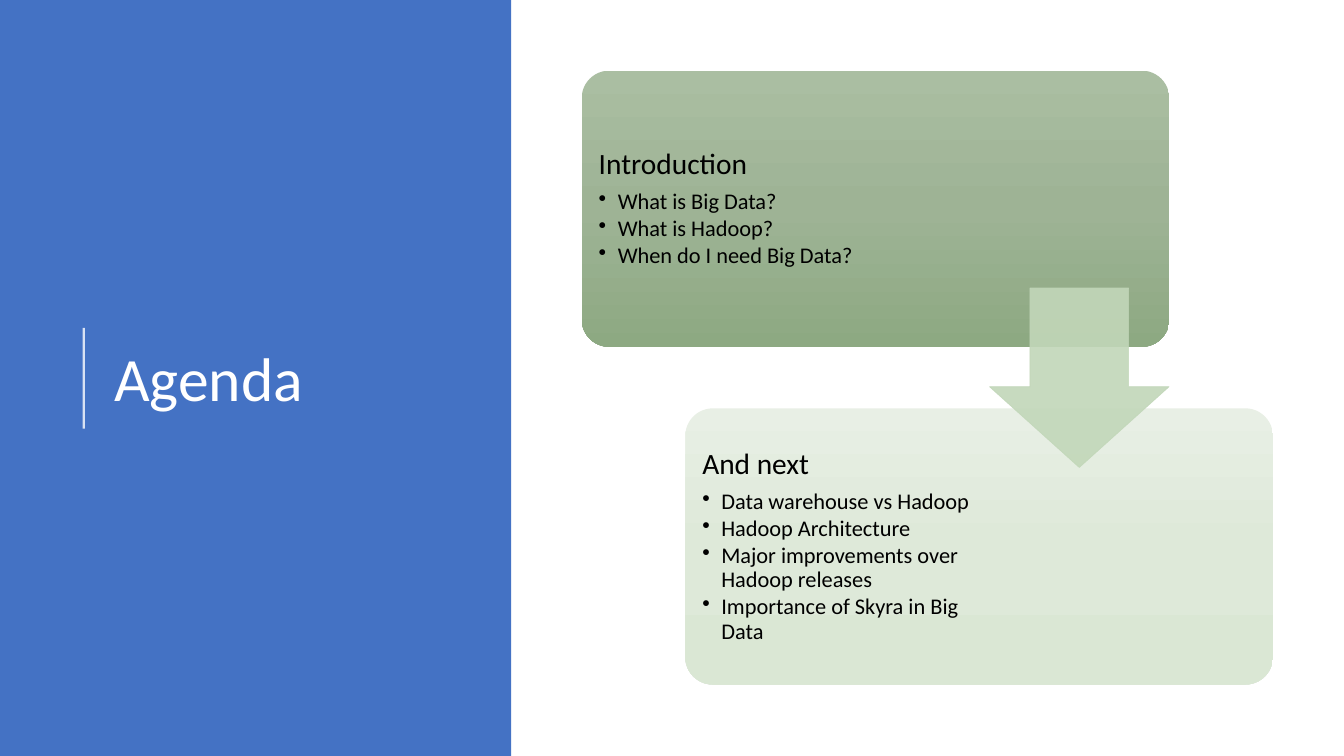
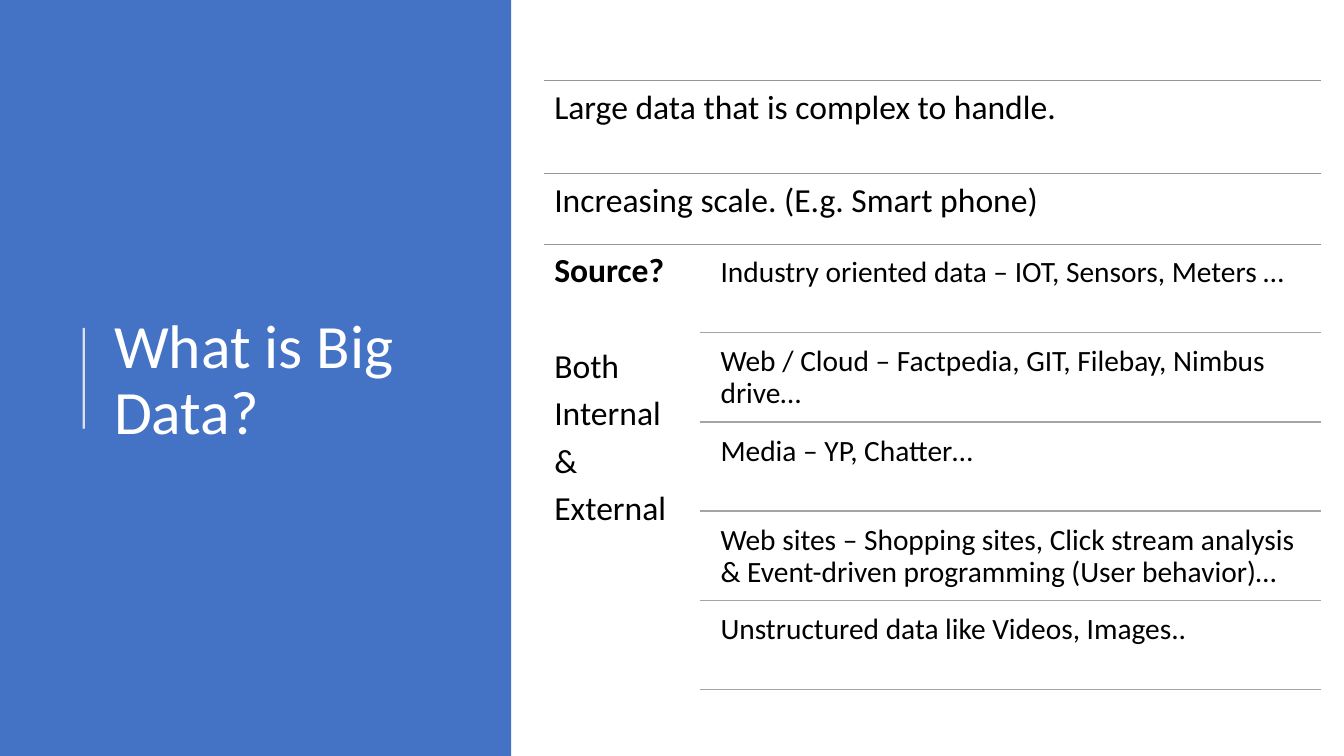
from copy import deepcopy

from lxml import etree
from pptx import Presentation
from pptx import util as u
from pptx.dml.color import RGBColor
from pptx.enum import shapes, text
from pptx.oxml import ns

# Content
AGENDA_TITLE = "Agenda"
AGENDA = [  # heading, bullets
    ("Introduction",
     ["What is Big Data?", "What is Hadoop?", "When do I need Big Data?"]),
    ("And next",
     ["Data warehouse vs Hadoop", "Hadoop Architecture",
      "Major improvements over Hadoop releases",
      "Importance of Skyra in Big Data"]),
]
BIG_DATA_TITLE = "What is Big Data?"
STATEMENTS = ["Large data that is complex to handle.",
              "Increasing scale. (E.g. Smart phone)"]
SOURCE_LABEL = ["Source?", "Both", "Internal", "&", "External"]
SOURCES = [
    "Industry oriented data – IOT, Sensors, Meters …",
    "Web / Cloud – Factpedia, GIT, Filebay, Nimbus drive…",
    "Media – YP, Chatter…",
    "Web sites – Shopping sites, Click stream analysis & Event-driven "
    "programming (User behavior)…",
    "Unstructured data like Videos, Images..",
]

# Shared style
FONT = "Calibri"
BLUE = RGBColor(0x44, 0x72, 0xC4)
WHITE = RGBColor(0xFF, 0xFF, 0xFF)
BLACK = RGBColor(0x00, 0x00, 0x00)
ARROW_GREEN = RGBColor(0xC2, 0xD7, 0xB9)
RULE_GREY = RGBColor(0x96, 0x96, 0x96)
SOURCE_GREY = RGBColor(0xA5, 0xA5, 0xA5)
BOX_GRADIENTS = [
    [RGBColor(0xAA, 0xBE, 0xA2), RGBColor(0x9E, 0xB3, 0x95), RGBColor(0x8D, 0xA9, 0x82)],
    [RGBColor(0xE8, 0xEF, 0xE5), RGBColor(0xDE, 0xE9, 0xD9), RGBColor(0xDA, 0xE7, 0xD4)],
]
WIDTH, HEIGHT = 33.87, 19.05
BAND_WIDTH = 12.88


def set_alpha(shape, percent):
    """Make every solid colour of the shape's fill and line translucent."""
    for color in shape._element.spPr.iter(ns.qn("a:srgbClr")):
        etree.SubElement(color, ns.qn("a:alpha")).set("val", str(percent * 1000))


def add_line(slide, x1, y1, x2, y2, color, width):
    line = slide.shapes.add_connector(
        shapes.MSO_CONNECTOR.STRAIGHT, u.Cm(x1), u.Cm(y1), u.Cm(x2), u.Cm(y2))
    line.line.color.rgb = color
    line.line.width = u.Pt(width)
    etree.SubElement(line._element.spPr, ns.qn("a:effectLst"))
    return line


def add_shape(slide, kind, left, top, width, height):
    shape = slide.shapes.add_shape(
        kind, u.Cm(left), u.Cm(top), u.Cm(width), u.Cm(height))
    shape.shadow.inherit = False
    shape.line.fill.background()
    return shape


def style(paragraph, size, color=BLACK, after=0):
    paragraph.alignment = text.PP_ALIGN.LEFT
    paragraph.line_spacing = 0.9
    paragraph.space_after = u.Pt(after)
    paragraph.font.name = FONT
    paragraph.font.size = u.Pt(size)
    paragraph.font.color.rgb = color


def add_text(slide, left, top, width, height, lines, size, after,
             inset=0.25, anchor=text.MSO_ANCHOR.TOP):
    frame = slide.shapes.add_textbox(
        u.Cm(left), u.Cm(top), u.Cm(width), u.Cm(height)).text_frame
    frame.word_wrap = True
    frame.vertical_anchor = anchor
    frame.margin_left = frame.margin_right = u.Cm(inset)
    frame.margin_top = frame.margin_bottom = u.Cm(inset)
    frame.text = "\n".join(lines)
    for paragraph in frame.paragraphs:
        style(paragraph, size, after=after)
    return frame


def add_bullet(paragraph):
    properties = paragraph._p.get_or_add_pPr()
    properties.set("marL", str(u.Cm(0.48)))
    properties.set("indent", str(-u.Cm(0.48)))
    etree.SubElement(properties, ns.qn("a:buChar")).set("char", "•")


def fill_gradient(shape, colors):
    """Spread the colours evenly from top to bottom."""
    shape.fill.gradient()
    shape.fill.gradient_angle = 270
    stop_list = shape._element.spPr.find(".//" + ns.qn("a:gsLst"))
    while len(stop_list) < len(colors):
        stop_list.append(deepcopy(stop_list[0]))
    for index, (stop, color) in enumerate(zip(shape.fill.gradient_stops, colors)):
        stop.position = index / (len(colors) - 1)
        stop.color.rgb = color


def add_slide(title_text):
    """Start a slide with the blue band, the thin rule and the title."""
    slide = presentation.slides.add_slide(presentation.slide_layouts[5])
    band = add_shape(slide, shapes.MSO_SHAPE.RECTANGLE, 0, 0, BAND_WIDTH, HEIGHT)
    band.fill.solid()
    band.fill.fore_color.rgb = BLUE
    set_alpha(add_line(slide, 2.11, 10.8, 2.11, 8.26, WHITE, 1.5), 80)

    title = slide.shapes.title
    slide.shapes._spTree.append(title._element)  # in front of the band
    title.left, title.top = u.Cm(2.62), u.Cm(1.98)
    title.width, title.height = u.Cm(9.37), u.Cm(15.27)
    title.text_frame.text = title_text
    title.text_frame.auto_size = text.MSO_AUTO_SIZE.NONE
    title.text_frame.vertical_anchor = text.MSO_ANCHOR.MIDDLE
    style(title.text_frame.paragraphs[0], 44, WHITE)
    return slide


presentation = Presentation()
presentation.slide_width, presentation.slide_height = u.Cm(WIDTH), u.Cm(HEIGHT)

# Slide 1: two agenda boxes, stepped to the right
slide = add_slide(AGENDA_TITLE)
BOX_LEFT, BOX_TOP, BOX_WIDTH, BOX_HEIGHT = 14.66, 1.78, 14.81, 6.96
STEP_X, STEP_Y, PADDING = 2.61, 8.51, 0.2
TEXT_WIDTHS = [7.59, 7.26]
for index, (heading, bullets) in enumerate(AGENDA):
    left, top = BOX_LEFT + index * STEP_X, BOX_TOP + index * STEP_Y
    box = add_shape(slide, shapes.MSO_SHAPE.ROUNDED_RECTANGLE,
                    left, top, BOX_WIDTH, BOX_HEIGHT)
    box.adjustments[0] = 0.1
    fill_gradient(box, BOX_GRADIENTS[index])
    frame = add_text(slide, left + PADDING, top + PADDING, TEXT_WIDTHS[index],
                     BOX_HEIGHT - 2 * PADDING, [heading, *bullets], 16, 2,
                     0.23, text.MSO_ANCHOR.MIDDLE)
    style(frame.paragraphs[0], 21, after=7)
    for paragraph in frame.paragraphs[1:]:
        add_bullet(paragraph)

arrow = add_shape(slide, shapes.MSO_SHAPE.DOWN_ARROW, 24.94, 7.26, 4.52, 4.52)
arrow.adjustments[0], arrow.adjustments[1] = 0.55, 0.45
arrow.fill.solid()
arrow.fill.fore_color.rgb = ARROW_GREEN
arrow.line.color.rgb = ARROW_GREEN
arrow.line.width = u.Pt(0.5)
set_alpha(arrow, 90)

# Slide 2: ruled rows, the last one split into a label and its sources
slide = add_slide(BIG_DATA_TITLE)
LEFT, RIGHT, LABEL_WIDTH = 13.72, 33.3, 3.91
ROW_HEIGHTS = [2.34, 1.78, 11.35]
row_widths = [RIGHT - LEFT, RIGHT - LEFT, LABEL_WIDTH]
row_lines = [[statement] for statement in STATEMENTS] + [SOURCE_LABEL]
top = 2.03
for lines, width, height in zip(row_lines, row_widths, ROW_HEIGHTS):
    add_line(slide, LEFT, top, RIGHT, top, RULE_GREY, 0.5)
    frame = add_text(slide, LEFT, top, width, height, lines, 24, 8)
    top += height
label = frame.paragraphs[0]
label.font.bold = True
label.space_after = u.Pt(42)

SOURCE_TOP, SOURCE_STEP, SOURCE_HEIGHT = 6.25, 2.25, 2.13
source_left = LEFT + LABEL_WIDTH
for index, source in enumerate(SOURCES):
    top = SOURCE_TOP + index * SOURCE_STEP
    add_text(slide, source_left + 0.3, top, RIGHT - source_left - 0.3,
             SOURCE_HEIGHT, [source], 21, 7, 0.23)
    bottom = top + SOURCE_HEIGHT
    add_line(slide, source_left, bottom, RIGHT, bottom, SOURCE_GREY, 1)

presentation.save("out.pptx")
